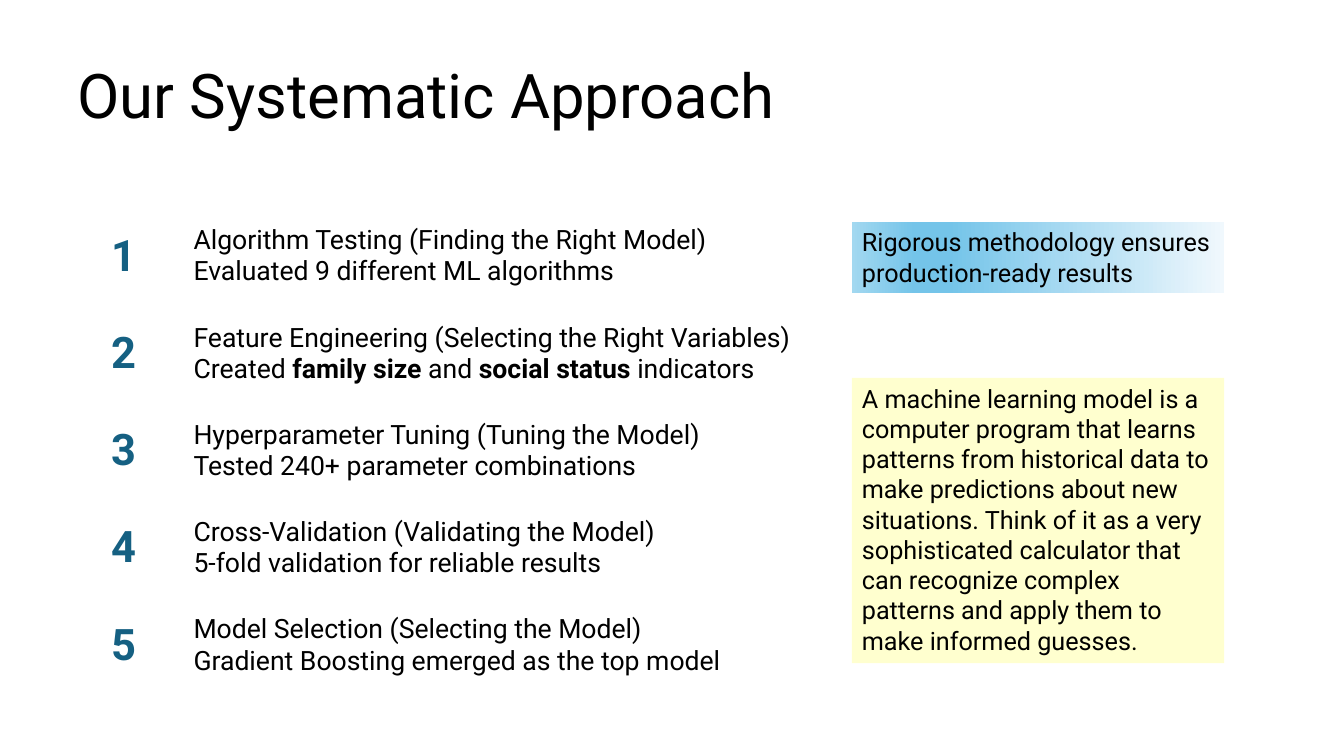
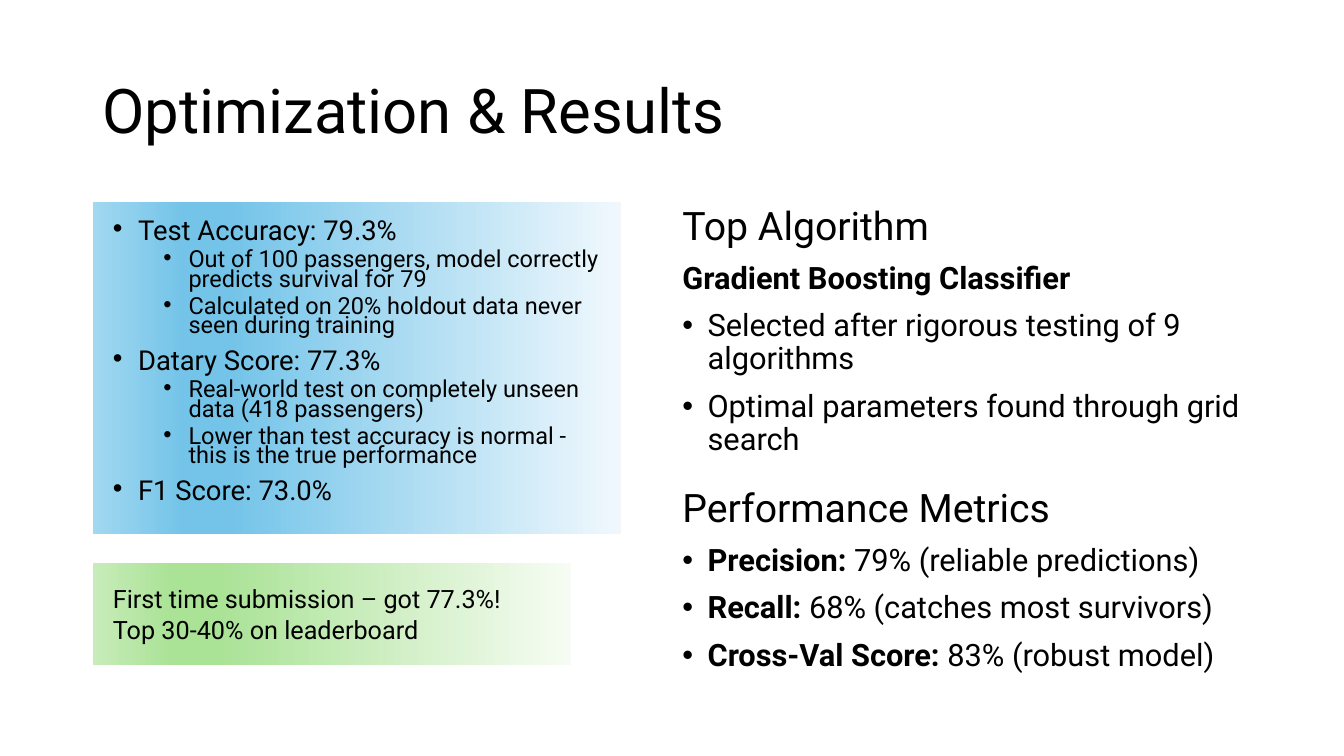
from lxml.etree import SubElement
from pptx import Presentation
from pptx.dml.color import RGBColor
from pptx.enum.shapes import MSO_SHAPE
from pptx.enum.text import MSO_ANCHOR, PP_ALIGN
from pptx.oxml.ns import qn
from pptx.util import Inches, Pt

FONT = "Roboto"
COLORS = {"text": "000000", "number": "156082", "note": "FFFF00"}
GRADIENTS = {
    "blue": ((0, "F0F8FD"), (74, "74C4E9"), (83, "74C4E9"), (100, "A2D8F0")),
    "green": ((0, "F6FCF3"), (74, "AAE296"), (83, "AAE296"), (100, "C7ECB9")),
}
NOTE_OPACITY = 19

# Text between double asterisks is bold.
STEPS = [
    "Algorithm Testing (Finding the Right Model)\n"
    "Evaluated 9 different ML algorithms",
    "Feature Engineering (Selecting the Right Variables)\n"
    "Created **family size **and **social status **indicators",
    "Hyperparameter Tuning (Tuning the Model)\n"
    "Tested 240+ parameter combinations",
    "Cross-Validation (Validating the Model)\n"
    "5-fold validation for reliable results",
    "Model Selection (Selecting the Model)\n"
    "Gradient Boosting emerged as the top model",
]
METHOD = "Rigorous methodology ensures production-ready results"
MODEL_NOTE = (
    "A machine learning model is a computer program that learns patterns from "
    "historical data to make predictions about new situations. Think of it as a "
    "very sophisticated calculator that can recognize complex patterns and apply "
    "them to make informed guesses."
)
SCORES = [
    ("score", "Test Accuracy: 79.3%"),
    ("detail", "Out of 100 passengers, model correctly predicts survival for 79"),
    ("detail", "Calculated on 20% holdout data never seen during training"),
    ("score", "Datary Score: 77.3%"),
    ("detail", "Real-world test on completely unseen data (418 passengers)"),
    ("detail", "Lower than test accuracy is normal - this is the true performance"),
    ("score", "F1 Score: 73.0%"),
]
SUBMISSION = [
    ("plain", "First time submission – got 77.3%!"),
    ("plain", "Top 30-40% on leaderboard"),
]
ALGORITHM = [
    ("heading", "Top Algorithm"),
    ("lead", "**Gradient Boosting Classifier**"),
    ("bullet", "Selected after rigorous testing of 9 algorithms"),
    ("bullet", "Optimal parameters found through grid search"),
]
METRICS = [
    ("heading", "Performance Metrics"),
    ("bullet", "**Precision:** 79% (reliable predictions)"),
    ("bullet", "**Recall:** 68% (catches most survivors)"),
    ("bullet", "**Cross-Val Score:** 83% (robust model)"),
]

STYLES = {
    "title": {"size": 44, "line": 0.9},
    "number": {"size": 31, "color": "number", "bold": True, "align": PP_ALIGN.CENTER},
    "step": {"size": 19},
    "plain": {"size": 18},
    "score": {"size": 19.6, "line": 0.7, "before": 10, "indent": 0.25},
    "detail": {"size": 16.8, "line": 0.7, "before": 5, "indent": 0.75, "level": 1},
    "heading": {"size": 28, "line": 0.9, "before": 10},
    "lead": {"size": 22, "line": 0.9, "before": 10},
    "bullet": {"size": 22, "line": 0.9, "before": 10, "indent": 0.25},
}


def write(paragraph, text, *, size, color="text", bold=False, align=PP_ALIGN.LEFT,
          line=None, before=0, indent=None, level=0):
    """Fill a paragraph; an indent, in inches, also gives it a bullet."""
    paragraph.alignment = align
    paragraph.level = level
    paragraph.space_before = Pt(before)
    if line:
        paragraph.line_spacing = line
    if indent:
        properties = paragraph._p.get_or_add_pPr()
        properties.set("marL", str(Inches(indent)))
        properties.set("indent", str(Inches(-0.25)))
        SubElement(properties, qn("a:buFont")).set("typeface", "Arial")
        SubElement(properties, qn("a:buChar")).set("char", "•")
    for row, row_text in enumerate(text.split("\n")):
        if row:
            paragraph.add_line_break()
        for index, part in enumerate(row_text.split("**")):
            if part:
                run = paragraph.add_run()
                run.text = part
                run.font.name = FONT
                run.font.size = Pt(size)
                run.font.bold = bold or index % 2 == 1
                run.font.color.rgb = RGBColor.from_string(COLORS[color])


def write_all(shape, items, anchor, inset=None):
    frame = shape.text_frame
    frame.word_wrap = True
    frame.vertical_anchor = anchor
    if inset:
        frame.margin_left = frame.margin_right = Inches(inset)
        frame.margin_top = frame.margin_bottom = Inches(inset)
    for index, (style, text) in enumerate(items):
        paragraph = frame.add_paragraph() if index else frame.paragraphs[0]
        write(paragraph, text, **STYLES[style])


def add_text(slide, box, items, anchor=MSO_ANCHOR.TOP):
    shape = slide.shapes.add_textbox(*map(Inches, box))
    write_all(shape, items, anchor)


def add_panel(slide, box, items, gradient=None, inset=None):
    """Add a text panel with a gradient, or the pale note colour without one."""
    shape = slide.shapes.add_shape(MSO_SHAPE.RECTANGLE, *map(Inches, box))
    shape.shadow.inherit = False
    shape.line.fill.background()
    if gradient:
        shape.fill.gradient()
        shape.fill.gradient_angle = 180
        stops = shape._element.spPr.find(".//" + qn("a:gsLst"))
        for stop in list(stops):
            stops.remove(stop)
        for position, color in GRADIENTS[gradient]:
            stop = SubElement(stops, qn("a:gs"), pos=str(position * 1000))
            SubElement(stop, qn("a:srgbClr"), val=color)
    else:
        shape.fill.solid()
        shape.fill.fore_color.rgb = RGBColor.from_string(COLORS["note"])
        color = shape._element.spPr.find(".//" + qn("a:srgbClr"))
        SubElement(color, qn("a:alpha"), val=str(NOTE_OPACITY * 1000))
    write_all(shape, items, MSO_ANCHOR.TOP, inset)


def add_steps(slide, left, top, widths, row_height):
    box = (left, top, sum(widths), row_height * len(STEPS))
    table = slide.shapes.add_table(len(STEPS), len(widths), *map(Inches, box)).table
    table.first_row = table.horz_banding = False
    for column, width in zip(table.columns, widths):
        column.width = Inches(width)
    for index, step in enumerate(STEPS):
        table.rows[index].height = Inches(row_height)
        for column, (style, text) in enumerate((("number", str(index + 1)), ("step", step))):
            cell = table.cell(index, column)
            cell.fill.background()
            cell.vertical_anchor = MSO_ANCHOR.MIDDLE
            cell.margin_left = cell.margin_right = Inches(0.14)
            cell.margin_top = cell.margin_bottom = Inches(0.14)
            write(cell.text_frame.paragraphs[0], text, **STYLES[style])


def build_approach(slide):
    left, side_left, side_width = 0.67, 8.45, 3.69
    add_text(slide, (left, 0.6, 11.97, 1.24), [("title", "Our Systematic Approach")])
    add_steps(slide, left, 2.06, (1.11, 10.86), 0.965)
    add_panel(slide, (side_left, 2.2, side_width, 0.71), [("plain", METHOD)], "blue")
    add_panel(slide, (side_left, 3.75, side_width, 2.83), [("plain", MODEL_NOTE)])


def build_results(slide):
    left, right, right_width = 0.92, 6.67, 5.75
    add_text(slide, (left, 0.4, 11.5, 1.45), [("title", "Optimization & Results")],
             MSO_ANCHOR.MIDDLE)
    add_panel(slide, (left, 2, 5.24, 3.3), SCORES, "blue", 0.2)
    add_text(slide, (right, 2, right_width, 2.66), ALGORITHM)
    add_text(slide, (right, 4.8, right_width, 2), METRICS)
    add_panel(slide, (left, 5.59, 4.74, 1.01), SUBMISSION, "green", 0.2)


def main():
    presentation = Presentation()
    presentation.slide_width = Inches(13.33)
    presentation.slide_height = Inches(7.5)
    for build in (build_approach, build_results):
        build(presentation.slides.add_slide(presentation.slide_layouts[6]))
    presentation.save("out.pptx")


if __name__ == "__main__":
    main()
